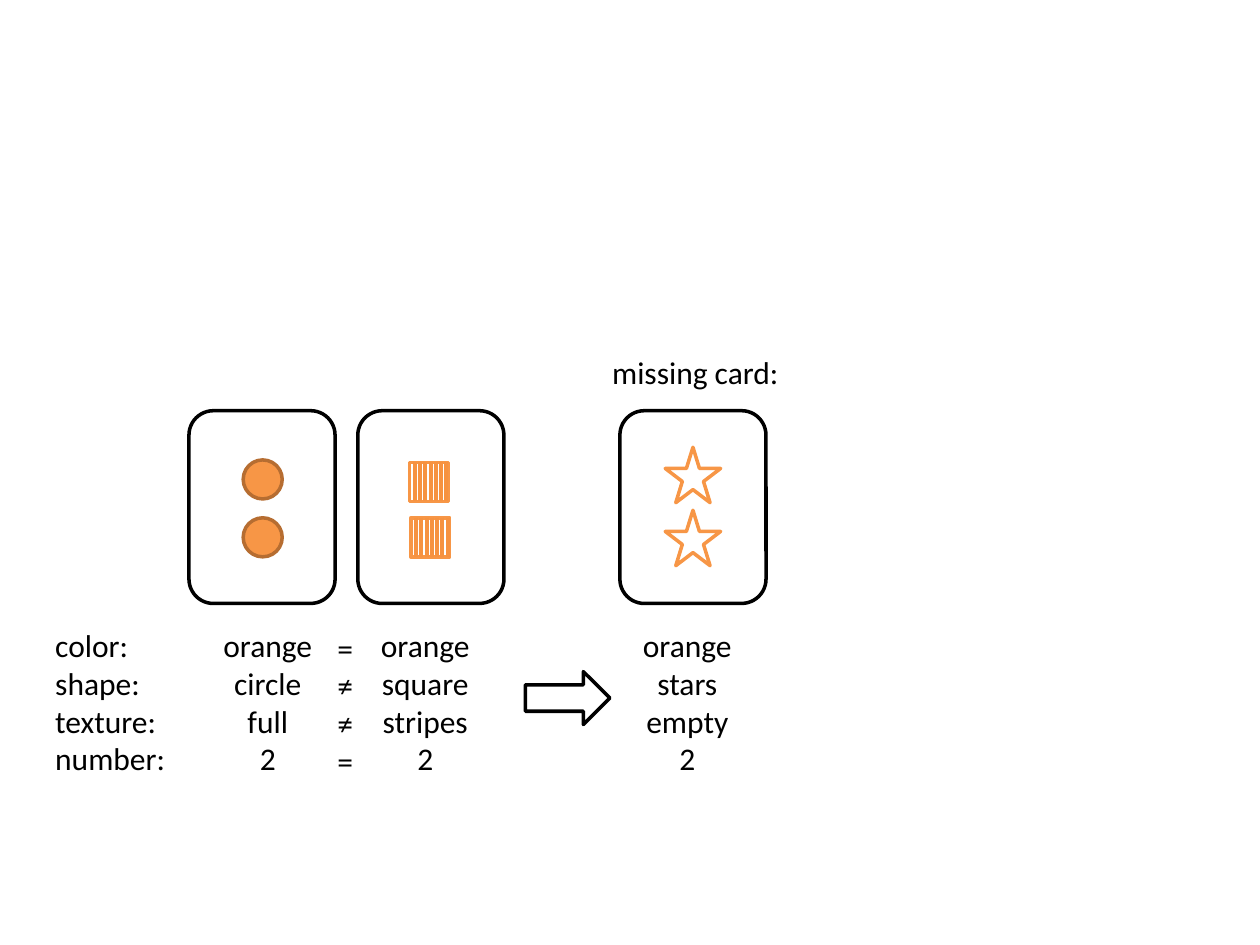
import pptx
import pptx.dml.color
import pptx.enum.shapes
import pptx.enum.text
import pptx.oxml.ns
import pptx.util
from lxml import etree

SHAPE = pptx.enum.shapes.MSO_SHAPE
ALIGN = pptx.enum.text.PP_ALIGN
RGBColor = pptx.dml.color.RGBColor

BLACK = RGBColor(0x00, 0x00, 0x00)
WHITE = RGBColor(0xFF, 0xFF, 0xFF)
ORANGE = RGBColor(0xF7, 0x96, 0x46)
DARK_ORANGE = RGBColor(0xB6, 0x6D, 0x31)
STRIPE_ORANGE = RGBColor(0xF6, 0x92, 0x40)

PX_PER_INCH = 100
CARD_TOP, CARD_WIDTH, CARD_HEIGHT = 326, 116, 153
SYMBOL_SIZE, STAR_SIZE = 31, 44
STRIPES = 7
TEXT_TOP, TEXT_HEIGHT = 492, 130


def px(length):
    return pptx.util.Emu(round(length * 914400 / PX_PER_INCH))


def add_shape(slide, kind, left, top, width, height, fill, line):
    shape = slide.shapes.add_shape(kind, px(left), px(top), px(width), px(height))
    shape.shadow.inherit = False
    shape.fill.solid()
    shape.fill.fore_color.rgb = fill
    shape.line.color.rgb = line
    shape.line.width = pptx.util.Pt(2)
    return shape


def add_circle(slide, left, top):
    add_shape(slide, SHAPE.OVAL, left, top, SYMBOL_SIZE, SYMBOL_SIZE, ORANGE, DARK_ORANGE)


def add_star(slide, left, top):
    add_shape(slide, SHAPE.STAR_5_POINT, left, top, STAR_SIZE, STAR_SIZE, WHITE, ORANGE)


def add_striped_square(slide, left, top):
    add_shape(slide, SHAPE.RECTANGLE, left, top, SYMBOL_SIZE, SYMBOL_SIZE, WHITE, ORANGE)
    pitch = SYMBOL_SIZE / (STRIPES + 0.4)
    for number in range(1, STRIPES + 1):
        x = px(left + number * pitch)
        stripe = slide.shapes.add_connector(
            pptx.enum.shapes.MSO_CONNECTOR.STRAIGHT, x, px(top), x, px(top + SYMBOL_SIZE))
        stripe.line.color.rgb = STRIPE_ORANGE
        stripe.line.width = pptx.util.Pt(2.25)
        properties = stripe._element.spPr
        etree.SubElement(properties, pptx.oxml.ns.qn("a:effectLst"))


def add_card(slide, left, add_symbol, symbol_offsets):
    """Draw a card and its symbols, which sit at offsets from the card's corner."""
    add_shape(slide, SHAPE.ROUNDED_RECTANGLE, left, CARD_TOP, CARD_WIDTH, CARD_HEIGHT,
              WHITE, BLACK)
    for x, y in symbol_offsets:
        add_symbol(slide, left + x, CARD_TOP + y)


def add_text(slide, lines, left, top, width, height, alignment=ALIGN.LEFT):
    text_box = slide.shapes.add_textbox(px(left), px(top), px(width), px(height))
    frame = text_box.text_frame
    frame.word_wrap = False
    frame.auto_size = pptx.enum.text.MSO_AUTO_SIZE.SHAPE_TO_FIT_TEXT
    for index, line in enumerate(lines):
        paragraph = frame.add_paragraph() if index else frame.paragraphs[0]
        paragraph.alignment = alignment
        run = paragraph.add_run()
        run.text = line
        run.font.name = "Calibri"
        run.font.size = pptx.util.Pt(18)
        run.font.color.rgb = BLACK


def add_given_cards(slide):
    add_card(slide, 150, add_circle, [(43, 39), (43, 85)])
    add_card(slide, 284, add_striped_square, [(41, 41), (42, 85)])


def add_comparison(slide):
    add_text(slide, ["color:", "shape:", "texture:", "number:"],
             34, TEXT_TOP, 107, TEXT_HEIGHT)
    columns = [
        (167, ["orange", "circle", "full", "2"]),
        (292, ["orange", "square", "stripes", "2"]),
        (500, ["orange", "stars", "empty", "2"]),
    ]
    for left, lines in columns:
        add_text(slide, lines, left, TEXT_TOP, 91, TEXT_HEIGHT, ALIGN.CENTER)
    add_text(slide, ["=", "≠", "≠", "="], 258, TEXT_TOP + 2, 33, TEXT_HEIGHT)


def add_missing_card(slide):
    add_text(slide, ["missing card:"], 476, 275, 152, 40)
    add_card(slide, 492, add_star, [(36, 29), (36, 79)])
    add_shape(slide, SHAPE.RIGHT_ARROW, 417, 533, 67, 42, WHITE, BLACK)


def main():
    presentation = pptx.Presentation()
    presentation.slide_width = px(1000)
    presentation.slide_height = px(750)
    slide = presentation.slides.add_slide(presentation.slide_layouts[6])
    add_given_cards(slide)
    add_comparison(slide)
    add_missing_card(slide)
    presentation.save("out.pptx")


if __name__ == "__main__":
    main()
